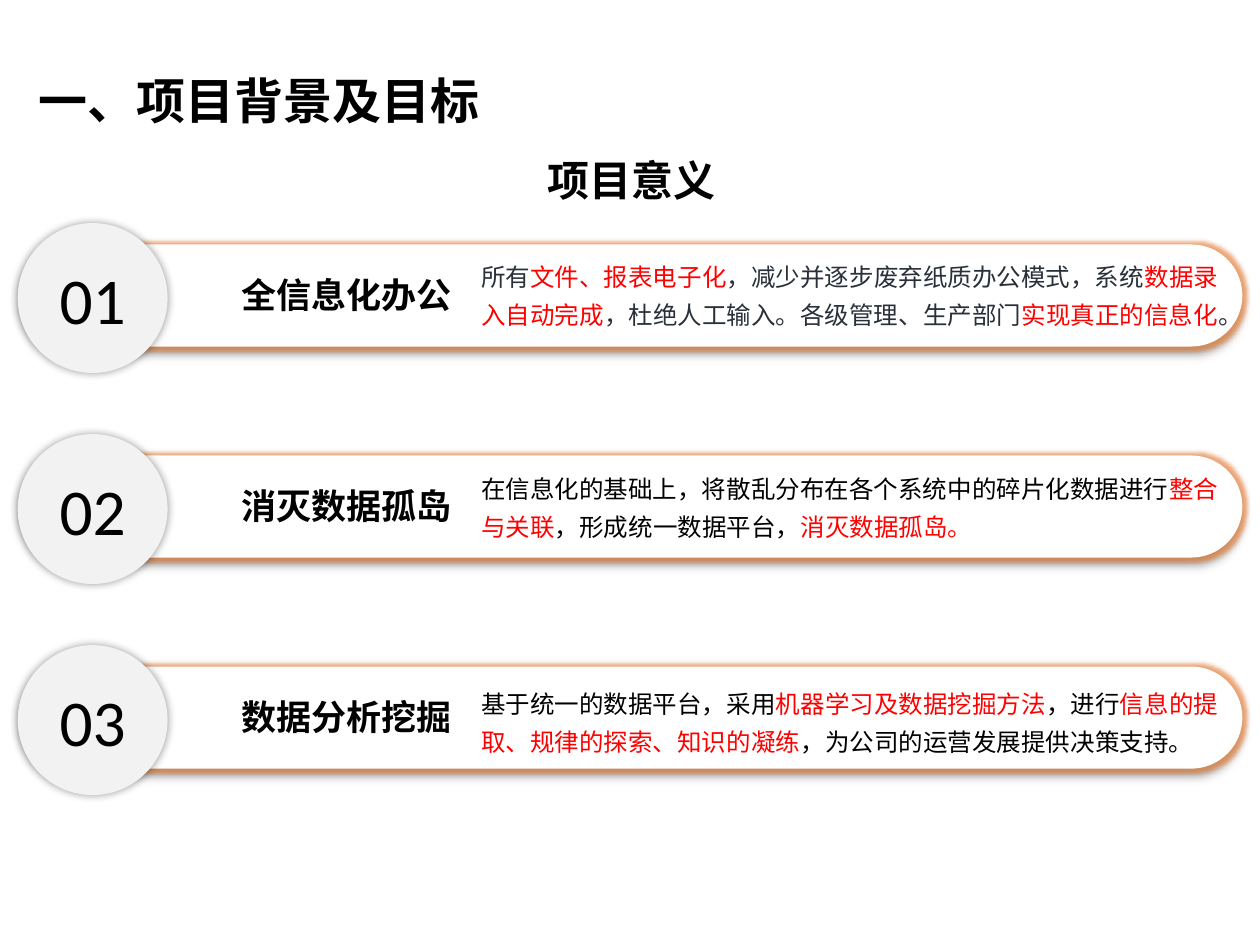
from lxml.etree import SubElement
from pptx import Presentation
from pptx.dml.color import RGBColor
from pptx.enum.shapes import MSO_SHAPE
from pptx.enum.text import MSO_ANCHOR, PP_ALIGN
from pptx.oxml.ns import qn
from pptx.util import Inches, Pt

WIDTH, HEIGHT = 10, 7.5
CJK = "Noto Sans CJK SC"
BLACK, RED = "000000", "FF0000"
FIRST_ROW, LAST_ROW = 1.77, 5.12
ROWS = [
    ("全信息化办公", "29303A", 0.19,
     "所有|文件、报表电子化|，减少并逐步废弃纸质办公模式，系统|数据录入自动完成|"
     "，杜绝人工输入。各级管理、生产部门|实现真正的信息化|。"),
    ("消灭数据孤岛", BLACK, 0.2,
     "在信息化的基础上，将散乱分布在各个系统中的碎片化数据进行|整合与关联|"
     "，形成统一数据平台，|消灭数据孤岛。"),
    ("数据分析挖掘", BLACK, 0.23,
     "基于统一的数据平台，采用|机器学习及数据挖掘方法|，进行|"
     "信息的提取、规律的探索、知识的凝练|，为公司的运营发展提供决策支持。"),
]


def color(value):
    """Turn a hex string into a colour."""
    return RGBColor.from_string(value)


def write(box, spans, paragraph_format=None, **font_format):
    """Write coloured spans as one paragraph of a box."""
    box.text_frame.word_wrap = True
    para = box.text_frame.paragraphs[0]
    for name, value in (paragraph_format or {}).items():
        setattr(para, name, value)
    for text, ink in spans:
        span = para.add_run()
        span.text = text
        for name, value in font_format.items():
            setattr(span.font, name, value)
        span.font.color.rgb = color(ink)
        east_asian = SubElement(span.font._element, qn("a:ea"))
        east_asian.set("typeface", CJK)


def add_text(page, area, spans, paragraph_format=None, anchor=MSO_ANCHOR.TOP, **font_format):
    """Add a text box over an area."""
    box = page.shapes.add_textbox(*map(Inches, area))
    box.text_frame.vertical_anchor = anchor
    write(box, spans, paragraph_format, **font_format)


def add_effect(effects, kind, ink, opacity, **lengths):
    """Add one glow or shadow to an effect list."""
    effect = SubElement(effects, qn(f"a:{kind}"))
    for name, value in lengths.items():
        effect.set(name, str(value))
    tint = SubElement(effect, qn("a:srgbClr"), val=ink)
    SubElement(tint, qn("a:alpha"), val=str(opacity * 1000))


def add_panel(page, kind, area, fill, blur, distance, angle, glow=None):
    """Add a borderless filled shape with a soft shadow."""
    panel = page.shapes.add_shape(kind, *map(Inches, area))
    panel.shadow.inherit = False
    panel.fill.solid()
    panel.fill.fore_color.rgb = color(fill)
    panel.line.fill.background()
    effects = panel._element.spPr.find(qn("a:effectLst"))
    if glow:
        add_effect(effects, "glow", glow, 60, rad=Pt(4))
    add_effect(effects, "outerShdw", BLACK, 40, blurRad=Pt(blur), dist=Pt(distance),
               dir=angle * 60000, algn="ctr", rotWithShape=0)
    return panel


def add_headings(page, left, top, width):
    """Add the slide title and the centred subtitle."""
    add_text(page, (left, top, width, 0.84), [("一、项目背景及目标", BLACK)],
             {"line_spacing": 1.4}, MSO_ANCHOR.MIDDLE, name=CJK, size=Pt(28), bold=True)
    add_text(page, (1.62, top + 0.9, 6.78, 0.5), [("项目意义", BLACK)],
             {"alignment": PP_ALIGN.CENTER}, name=CJK, size=Pt(24), bold=True)


def add_row(page, left, top, width, number, row):
    """Add a numbered bar with its label and description."""
    label, ink, offset, description = row
    bar = add_panel(page, MSO_SHAPE.ROUNDED_RECTANGLE,
                    (left, top + 0.17, width, 0.81), "FFFFFF", 4, 3, 135, "ED7D31")
    bar.adjustments[0] = 0.5
    spans = [(text, RED if index % 2 else ink)
             for index, text in enumerate(description.split("|"))]
    add_text(page, (left + 3.51, top + offset, 6.12, 0.7), spans,
             {"line_spacing": 1.3}, name=CJK, size=Pt(14))
    add_text(page, (left + 1.61, top + 0.35, 2.1, 0.44), [(label, BLACK)],
             name="Calibri", size=Pt(20), bold=True)
    circle = add_panel(page, MSO_SHAPE.OVAL, (left - 0.07, top, 1.19, 1.19), "F2F2F2", 5, 0, 0)
    circle.text_frame.vertical_anchor = MSO_ANCHOR.MIDDLE
    write(circle, [(f"{number:02d}", BLACK)], {"alignment": PP_ALIGN.CENTER},
          name="Calibri", size=Pt(37.3))


def main():
    """Build and save the slide."""
    deck = Presentation()
    deck.slide_width, deck.slide_height = Inches(WIDTH), Inches(HEIGHT)
    page = deck.slides.add_slide(deck.slide_layouts[6])
    left, width = 0.21, 9.65
    add_headings(page, left, 0.28, width)
    pitch = (LAST_ROW - FIRST_ROW) / (len(ROWS) - 1)
    for index, row in enumerate(ROWS):
        add_row(page, left, FIRST_ROW + index * pitch, width, index + 1, row)
    deck.save("out.pptx")


if __name__ == "__main__":
    main()
